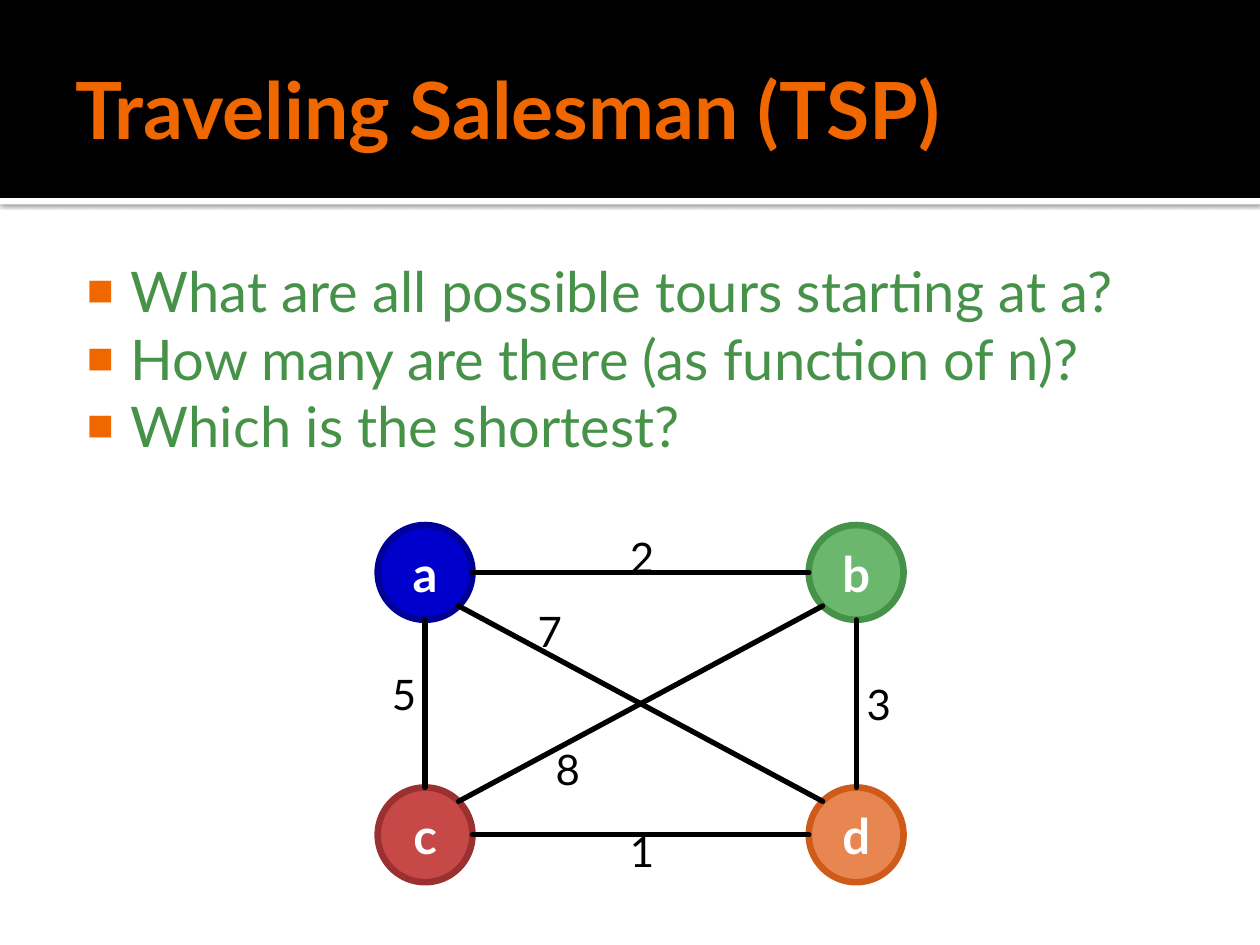
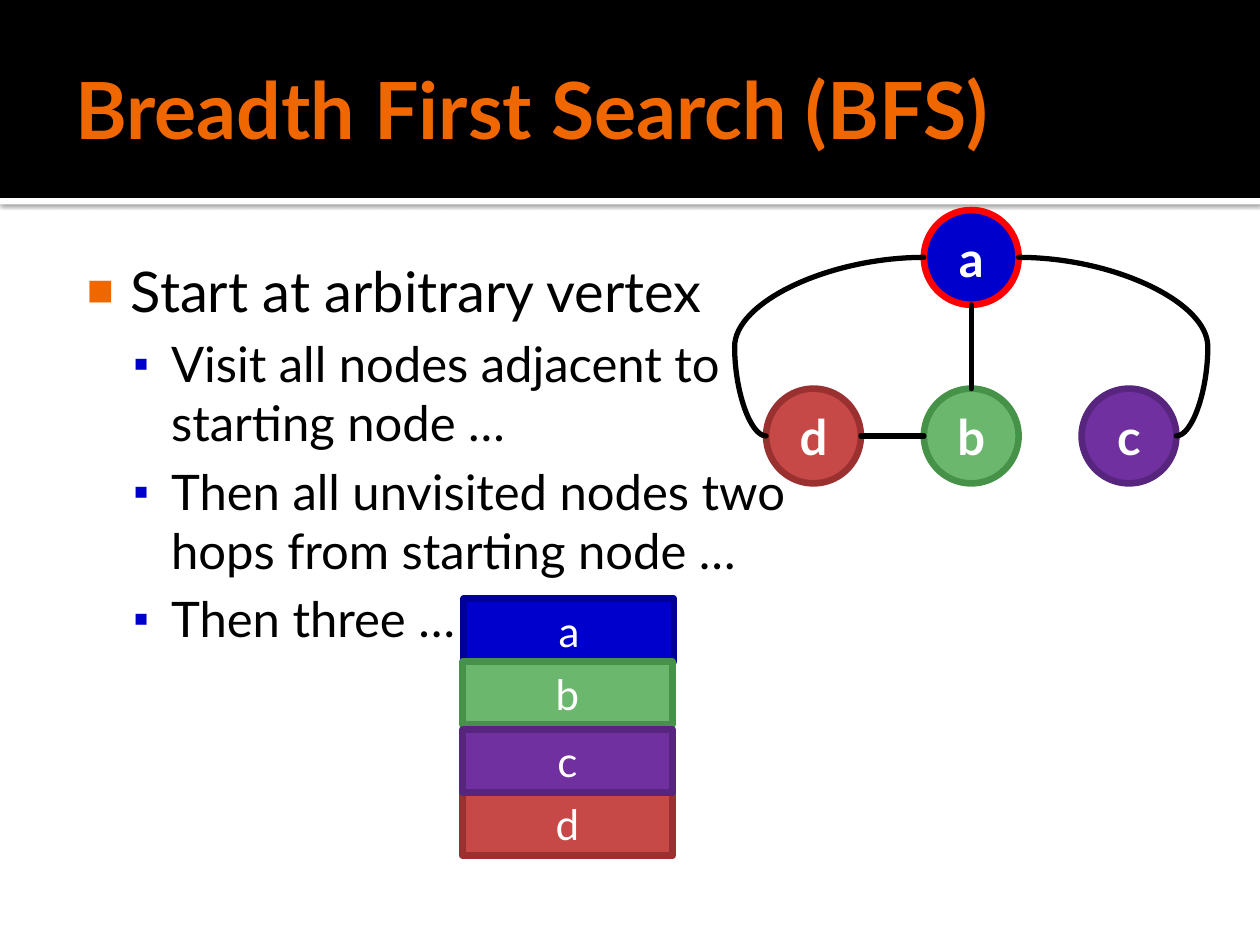
from math import hypot
from lxml.etree import SubElement
from pptx import Presentation
from pptx.dml.color import RGBColor
from pptx.enum.shapes import MSO_CONNECTOR, MSO_SHAPE
from pptx.enum.text import MSO_ANCHOR, PP_ALIGN
from pptx.oxml.ns import qn
from pptx.util import Cm, Pt

FONT = "Lato"
BLACK, WHITE, ORANGE = "000000", "FFFFFF", "F06700"
BLUE, GREEN = ("0000CC", "000099"), ("6BB76D", "479249")
RED, AMBER = ("C64847", "9A3130"), ("E88651", "CF5B1B")
PURPLE, START = ("7030A0", "57257D"), ("0000CC", "FF0000")

# Lengths are in centimetres throughout.
WIDE, HIGH = 25.4, 19.05
BAND, STRIP = 3.99, 0.13
NODE = 1.91
QUEUE_W, QUEUE_H = 4.24, 1.27
LABEL_W, LABEL_H = 0.93, 1.27

# Per level: bullet, bullet colour, bullet size %, margin, hang, size, space before
LEVELS = [
    ("■", ORANGE, 80, 1.22, 0.89, 32, 0),
    ("▪", BLUE[0], 90, 2.03, 0.76, 28, 5.6),
]

# Nodes are name: (centre x, centre y, colours).
TOUR = {
    "title": "Traveling Salesman (TSP)",
    "width": 22.86,
    "ink": GREEN[1],
    "points": [
        (0, "What are all possible tours starting at a?"),
        (0, "How many are there (as function of n)?"),
        (0, "Which is the shortest?"),
    ],
    "nodes": {
        "a": (8.57, 11.54, BLUE),
        "b": (17.26, 11.54, GREEN),
        "c": (8.57, 16.83, RED),
        "d": (17.26, 16.83, AMBER),
    },
    "edges": ["ab", "ac", "cd", "bd", "ad", "cb"],
    "arcs": [],
    "costs": [
        ("2", 12.45, 10.59),
        ("5", 7.65, 13.34),
        ("3", 17.22, 13.54),
        ("1", 12.45, 16.51),
        ("7", 10.59, 12.07),
        ("8", 10.95, 14.86),
    ],
    "queue": [],
}
SEARCH = {
    "title": "Breadth First Search (BFS)",
    "width": 14.82,
    "ink": BLACK,
    "points": [
        (0, "Start at arbitrary vertex"),
        (1, "Visit all nodes adjacent to starting node …"),
        (1, "Then all unvisited nodes two hops from starting node …"),
        (1, "Then three …"),
    ],
    "nodes": {
        "a": (19.58, 5.19, START),
        "b": (19.58, 8.79, GREEN),
        "d": (16.4, 8.79, RED),
        "c": (22.76, 8.79, PURPLE),
    },
    "edges": ["ab", "db"],
    "arcs": [("ca", 1), ("da", -1)],
    "costs": [],
    "queue": [
        ("a", 9.35, 12.07, BLUE),
        ("b", 9.32, 13.34, GREEN),
        ("d", 9.32, 15.98, RED),
        ("c", 9.32, 14.71, PURPLE),
    ],
}


def color(code):
    return RGBColor.from_string(code)


def write(par, text, size, ink, bold=False):
    run = par.add_run()
    run.text = text
    font = run.font
    font.name, font.size, font.bold = FONT, Pt(size), bold
    font.color.rgb = color(ink)


def block(slide, kind, box, fill, line=None):
    shape = slide.shapes.add_shape(kind, *map(Cm, box))
    shape.shadow.inherit = False
    shape.fill.solid()
    shape.fill.fore_color.rgb = color(fill)
    if line:
        shape.line.color.rgb = color(line)
        shape.line.width = Pt(3.78)
    else:
        shape.line.fill.background()
    return shape


def badge(slide, kind, box, pair, text, size, bold=False):
    """Draw a filled shape with a name in its middle."""
    frame = block(slide, kind, box, *pair).text_frame
    frame.vertical_anchor = MSO_ANCHOR.MIDDLE
    par = frame.paragraphs[0]
    par.alignment = PP_ALIGN.CENTER
    write(par, text, size, WHITE, bold)


def textbox(slide, box, pads=(0.25, 0.13, 0.25, 0.13), wrap=True):
    frame = slide.shapes.add_textbox(*map(Cm, box)).text_frame
    frame.word_wrap = wrap
    (frame.margin_left, frame.margin_top,
     frame.margin_right, frame.margin_bottom) = map(Cm, pads)
    return frame


def header(slide, title):
    strip = block(slide, MSO_SHAPE.RECTANGLE, (0, BAND, WIDE, STRIP), WHITE)
    effects = strip._element.spPr.find(qn("a:effectLst"))
    shade = SubElement(effects, qn("a:outerShdw"), blurRad=str(Pt(2.5)),
                       dist=str(Pt(0.8)), dir="5400000", rotWithShape="0")
    tint = SubElement(shade, qn("a:srgbClr"), val=BLACK)
    SubElement(tint, qn("a:alpha"), val="60000")
    block(slide, MSO_SHAPE.RECTANGLE, (0, 0, WIDE, BAND), BLACK)
    frame = textbox(slide, (1.27, 0.43, 22.86, 3.48), (0.25, 0.13, 0.13, 0.13))
    frame.vertical_anchor = MSO_ANCHOR.MIDDLE
    write(frame.paragraphs[0], title, 45, ORANGE, True)


def bullets(slide, points, width, ink):
    frame = textbox(slide, (1.27, 4.93, width, 12.85), (0.15, 0.25, 0.25, 0.13))
    for i, (level, text) in enumerate(points):
        mark, tint, scale, margin, hang, size, gap = LEVELS[level]
        par = frame.add_paragraph() if i else frame.paragraphs[0]
        par.level = level
        par.space_before = Pt(gap)
        props = par._p.get_or_add_pPr()
        props.set("marL", str(Cm(margin)))
        props.set("indent", str(-Cm(hang)))
        paint = SubElement(props, qn("a:buClr"))
        SubElement(paint, qn("a:srgbClr"), val=tint)
        SubElement(props, qn("a:buSzPct"), val=str(scale * 1000))
        SubElement(props, qn("a:buFont"), typeface="Arial")
        SubElement(props, qn("a:buChar"), char=mark)
        write(par, text, size, ink)


def link(slide, kind, start, end):
    wire = slide.shapes.add_connector(kind, *map(Cm, start + end))
    wire.line.color.rgb = color(BLACK)
    wire.line.width = Pt(3)
    wire.line._get_or_add_ln().set("cap", "rnd")
    SubElement(wire._element.spPr, qn("a:effectLst"))
    return wire


def rim(node, dx, dy):
    """Point on the node's outline in the given direction."""
    reach = NODE / 2 / hypot(dx, dy)
    return node[0] + dx * reach, node[1] + dy * reach


def sign(value):
    return (value > 0) - (value < 0)


def edge(slide, one, two):
    """Join two nodes at the nearest of their eight rim points."""
    dx, dy = sign(two[0] - one[0]), sign(two[1] - one[1])
    link(slide, MSO_CONNECTOR.STRAIGHT, rim(one, dx, dy), rim(two, -dx, -dy))


def arc(slide, one, two, side):
    """Join two nodes by a curve that bulges out to one side."""
    wire = link(slide, MSO_CONNECTOR.CURVE, rim(one, side, 0), rim(two, side, 0))
    shape = wire._element.spPr.find(qn("a:prstGeom"))
    guides = shape.find(qn("a:avLst"))
    if guides is None:
        guides = SubElement(shape, qn("a:avLst"))
    SubElement(guides, qn("a:gd"), name="adj1", fmla="val -20000")


def build(deck, data):
    slide = deck.slides.add_slide(deck.slide_layouts[6])
    header(slide, data["title"])
    bullets(slide, data["points"], data["width"], data["ink"])
    nodes = data["nodes"]
    for name, (x, y, pair) in nodes.items():
        box = (x - NODE / 2, y - NODE / 2, NODE, NODE)
        badge(slide, MSO_SHAPE.OVAL, box, pair, name, 28, True)
    for one, two in data["edges"]:
        edge(slide, nodes[one], nodes[two])
    for (one, two), side in data["arcs"]:
        arc(slide, nodes[one], nodes[two], side)
    for cost, x, y in data["costs"]:
        frame = textbox(slide, (x, y, LABEL_W, LABEL_H), wrap=False)
        write(frame.paragraphs[0], cost, 24, BLACK)
    for name, x, y, pair in data["queue"]:
        box = (x, y, QUEUE_W, QUEUE_H)
        badge(slide, MSO_SHAPE.RECTANGLE, box, pair, name, 24)


def main():
    deck = Presentation()
    deck.slide_width, deck.slide_height = Cm(WIDE), Cm(HIGH)
    for data in (TOUR, SEARCH):
        build(deck, data)
    deck.save("out.pptx")


if __name__ == "__main__":
    main()
